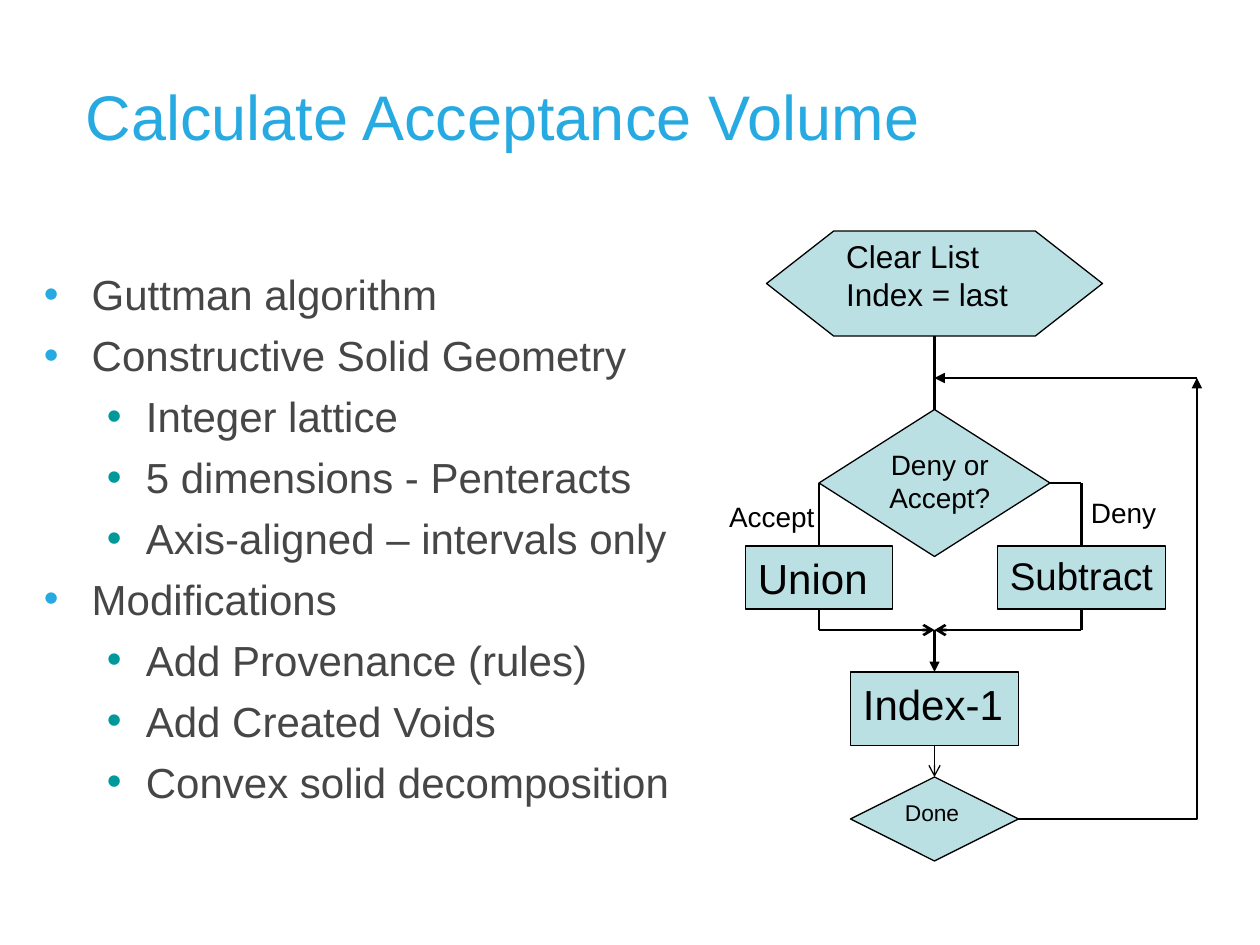
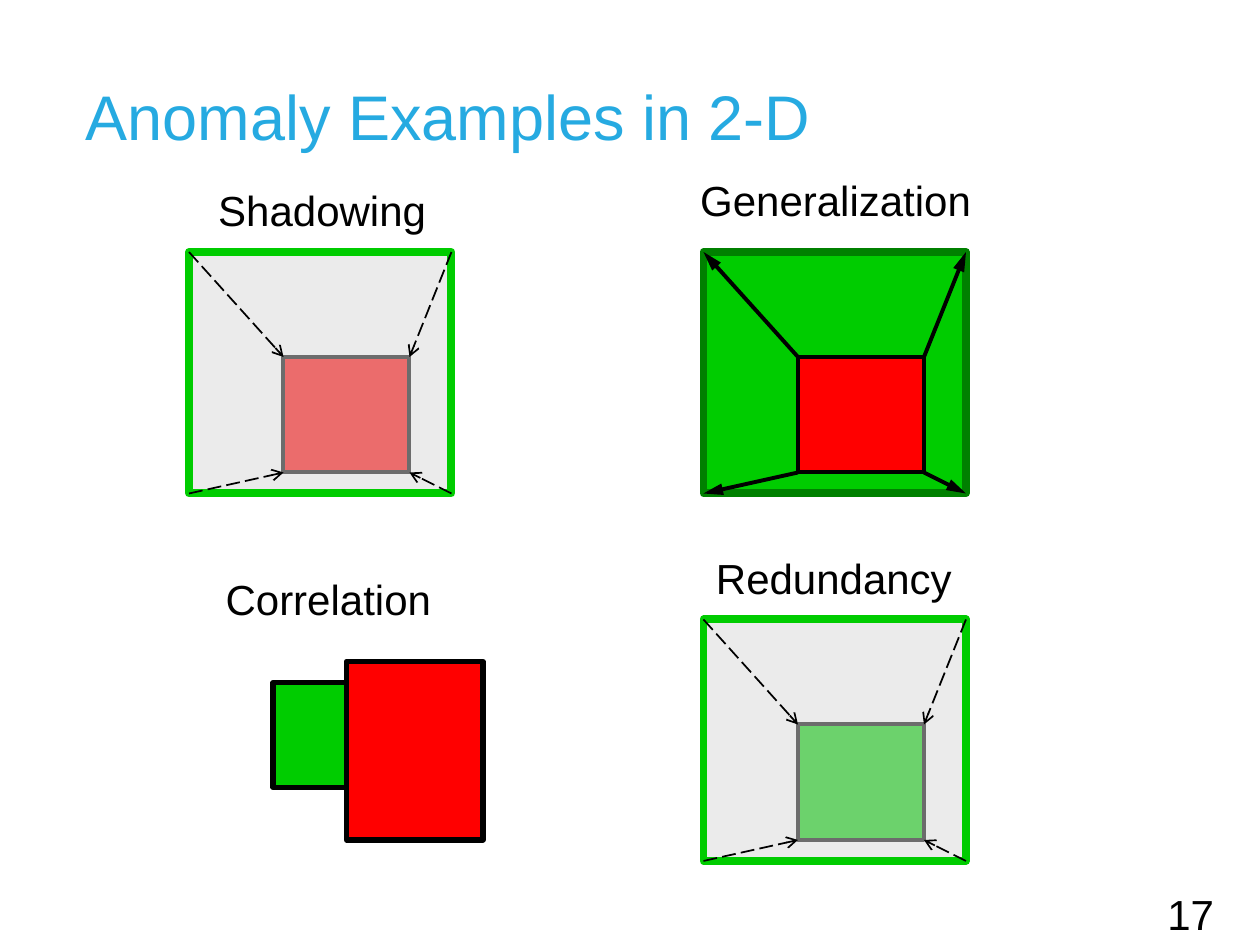
from pptx import Presentation
from pptx.dml.color import RGBColor as RGB
from pptx.enum.dml import MSO_LINE_DASH_STYLE as DASH
from pptx.enum.shapes import MSO_CONNECTOR as LINK, MSO_SHAPE as SHAPE
from pptx.enum.text import MSO_ANCHOR as ANCHOR, PP_ALIGN as ALIGN
from pptx.oxml.ns import qn
from pptx.util import Inches, Pt
from lxml.etree import SubElement

COLORS = {
    "title": "26AAE1", "body": "464646", "detail": "009999", "ink": "000000",
    "node": "BBE0E3", "accept": "00CC00", "accept_edge": "008000",
    "deny": "FF0000", "veil": "D9D9D9",
}
FONT = "Arial"

deck = Presentation()
deck.slide_width, deck.slide_height = Inches(10), Inches(7.5)
CELL = deck.slide_width / 120  # grid of 120 columns by 90 rows


def add_block(slide, cell, text="", size=24, kind=None, fill="node", edge="ink",
              weight=0.75, color="ink", align=ALIGN.LEFT, anchor=ANCHOR.TOP):
    """Place a shape, or a plain text box when kind is None, on the grid."""
    area = [round(part * CELL) for part in cell]
    if kind is None:
        block = slide.shapes.add_textbox(*area)
    else:
        block = slide.shapes.add_shape(kind, *area)
        block.shadow.inherit = False
        block.fill.solid()
        block.fill.fore_color.rgb = RGB.from_string(COLORS[fill])
        block.line.color.rgb = RGB.from_string(COLORS[edge])
        block.line.width = Pt(weight)
    frame = block.text_frame
    frame.word_wrap = True
    frame.vertical_anchor = anchor
    if text:
        frame.text = text
    for paragraph in frame.paragraphs:
        paragraph.alignment = align
        for run in paragraph.runs:
            run.font.name, run.font.size = FONT, Pt(size)
            run.font.color.rgb = RGB.from_string(COLORS[color])
    return block


def add_link(slide, start, end, weight=1.5, head=None, head_length="med", dash=None,
             route=LINK.STRAIGHT):
    """Draw a line between two grid points, with an optional arrowhead."""
    link = slide.shapes.add_connector(
        route, *[round(part * CELL) for part in (*start, *end)])
    link.line.color.rgb = RGB.from_string(COLORS["ink"])
    link.line.width = Pt(weight)
    if dash:
        link.line.dash_style = dash
    properties = link._element.spPr
    if head:
        SubElement(properties.find(qn("a:ln")), qn("a:tailEnd"),
                   type=head, len=head_length)
    SubElement(properties, qn("a:effectLst"))
    return link


# Slides and their titles
slides = []
for title in ("Calculate Acceptance Volume", "Anomaly Examples in 2-D"):
    slide = deck.slides.add_slide(deck.slide_layouts[6])
    add_block(slide, (7, 2, 104, 18), title, 36, color="title", anchor=ANCHOR.MIDDLE)
    slides.append(slide)
volume, anomalies = slides

# Slide 1: outline
outline = [
    (0, "Guttman algorithm"),
    (0, "Constructive Solid Geometry"),
    (1, "Integer lattice"),
    (1, "5 dimensions - Penteracts"),
    (1, "Axis-aligned – intervals only"),
    (0, "Modifications"),
    (1, "Add Provenance (rules)"),
    (1, "Add Created Voids"),
    (1, "Convex solid decomposition"),
]
bullet_styles = [(0.38, 0.38, "title"), (0.81, 0.31, "detail")]
points = add_block(volume, (3, 25, 65, 61), "\n".join(text for _, text in outline),
                   color="body").text_frame
for (level, _), paragraph in zip(outline, points.paragraphs):
    margin, hanging, bullet_color = bullet_styles[level]
    paragraph.level = level
    paragraph.space_before = Pt(6)
    properties = paragraph._p.get_or_add_pPr()
    properties.set("marL", str(Inches(margin)))
    properties.set("indent", str(-Inches(hanging)))
    tint = SubElement(properties, qn("a:buClr"))
    SubElement(tint, qn("a:srgbClr"), val=COLORS[bullet_color])
    SubElement(properties, qn("a:buFont"), typeface=FONT)
    SubElement(properties, qn("a:buChar"), char="•")

# Slide 1: flowchart steps
ACCEPT, MAIN, DENY, LOOP = 78, 89, 103, 114  # columns the flow runs along
steps = [
    (SHAPE.FLOWCHART_PREPARATION, (73, 22, 32, 10), "Clear List\nIndex = last", 18),
    (SHAPE.FLOWCHART_DECISION, (78, 39, 22, 14), "", 16),
    (SHAPE.FLOWCHART_PROCESS, (71, 52, 14, 6), "Union", 24),
    (SHAPE.FLOWCHART_PROCESS, (95, 52, 16, 6), "Subtract", 22),
    (SHAPE.FLOWCHART_PROCESS, (81, 64, 16, 7), "Index-1", 24),
    (SHAPE.FLOWCHART_DECISION, (81, 74, 16, 8), "Done", 13),
]
for kind, cell, text, size in steps:
    step = add_block(volume, cell, text, size, kind)
step.text_frame.paragraphs[0].line_spacing = 0.8

for cell, text in [((82, 42, 15, 7.7), "Deny or Accept?"),
                   ((102, 46.6, 10, 4.5), "Deny"),
                   ((68, 47, 11, 4.5), "Accept")]:
    add_block(volume, cell, text, 16, align=ALIGN.CENTER)

# Slide 1: flow lines
for start, end, head in [
    ((MAIN, 32), (MAIN, 39), None),
    ((100, 46), (DENY, 46), None),
    ((MAIN, 60), (MAIN, 64), "triangle"),
    ((LOOP, 36), (MAIN, 36), "triangle"),
]:
    add_link(volume, start, end, head=head)
for branch in (ACCEPT, DENY):
    add_link(volume, (branch, 46), (branch, 52))
    add_link(volume, (branch, 58), (branch, 60))
    add_link(volume, (branch, 60), (MAIN, 60), head="arrow")
add_link(volume, (MAIN, 71), (MAIN, 74), 0.75, "arrow")
loop_back = add_link(volume, (97, 78), (LOOP, 36), head="triangle", route=LINK.ELBOW)
loop_back._element.spPr.find(qn("a:prstGeom")).set("prst", "bentConnector2")

# Slide 2: a small rule nested in a large one, with corners joined
nested_rules = [
    # column, row, inner fill, inner is hidden by the outer rule
    (18, 24, "deny", True),
    (67, 24, "deny", False),
    (67, 59, "accept", True),
]
for column, row, inner_fill, hidden in nested_rules:
    outer = (column, row, 25, 23)
    inner = (column + 9, row + 10, 12, 11)
    if hidden:
        add_block(anomalies, inner, kind=SHAPE.RECTANGLE, fill=inner_fill, weight=2.25)
        veil = add_block(anomalies, outer, kind=SHAPE.RECTANGLE, fill="veil",
                         edge="accept", weight=4.5)
        veil_color = veil._element.spPr.find(qn("a:solidFill"))[0]
        SubElement(veil_color, qn("a:alpha"), val="50000")
    else:
        add_block(anomalies, outer, kind=SHAPE.RECTANGLE, fill="accept",
                  edge="accept_edge", weight=4.5)
        add_block(anomalies, inner, kind=SHAPE.RECTANGLE, fill=inner_fill, weight=2.25)
    for right in (0, 1):
        for low in (0, 1):
            outer_corner, inner_corner = [
                (x + right * width, y + low * height)
                for x, y, width, height in (outer, inner)]
            if hidden:
                add_link(anomalies, outer_corner, inner_corner, 1, "arrow",
                         dash=DASH.LONG_DASH)
            else:
                add_link(anomalies, inner_corner, outer_corner, 2.25, "triangle", "lg")

# Slide 2: overlapping rules
for cell, fill in [((26, 65, 13, 10), "accept"), ((33, 63, 13, 17), "deny")]:
    add_block(anomalies, cell, kind=SHAPE.RECTANGLE, fill=fill, weight=3)

# Slide 2: captions and page number
for column, row, caption in [
    (19.6, 17, "Shadowing"),
    (65.5, 16, "Generalization"),
    (20.3, 54, "Correlation"),
    (67, 52, "Redundancy"),
]:
    add_block(anomalies, (column, row, 32, 6), caption)
add_block(anomalies, (110, 84, 7, 2), "17")

deck.save("out.pptx")
